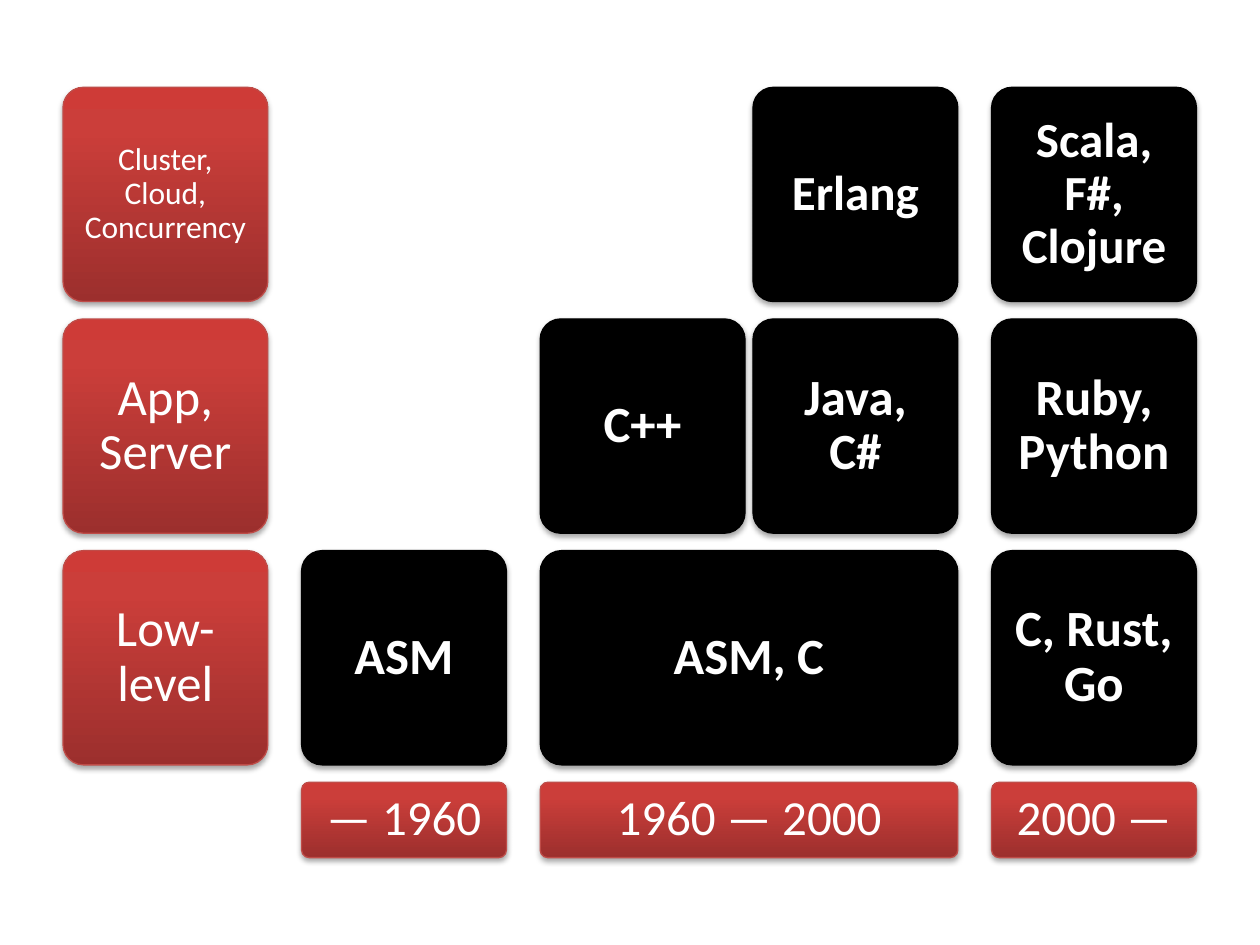
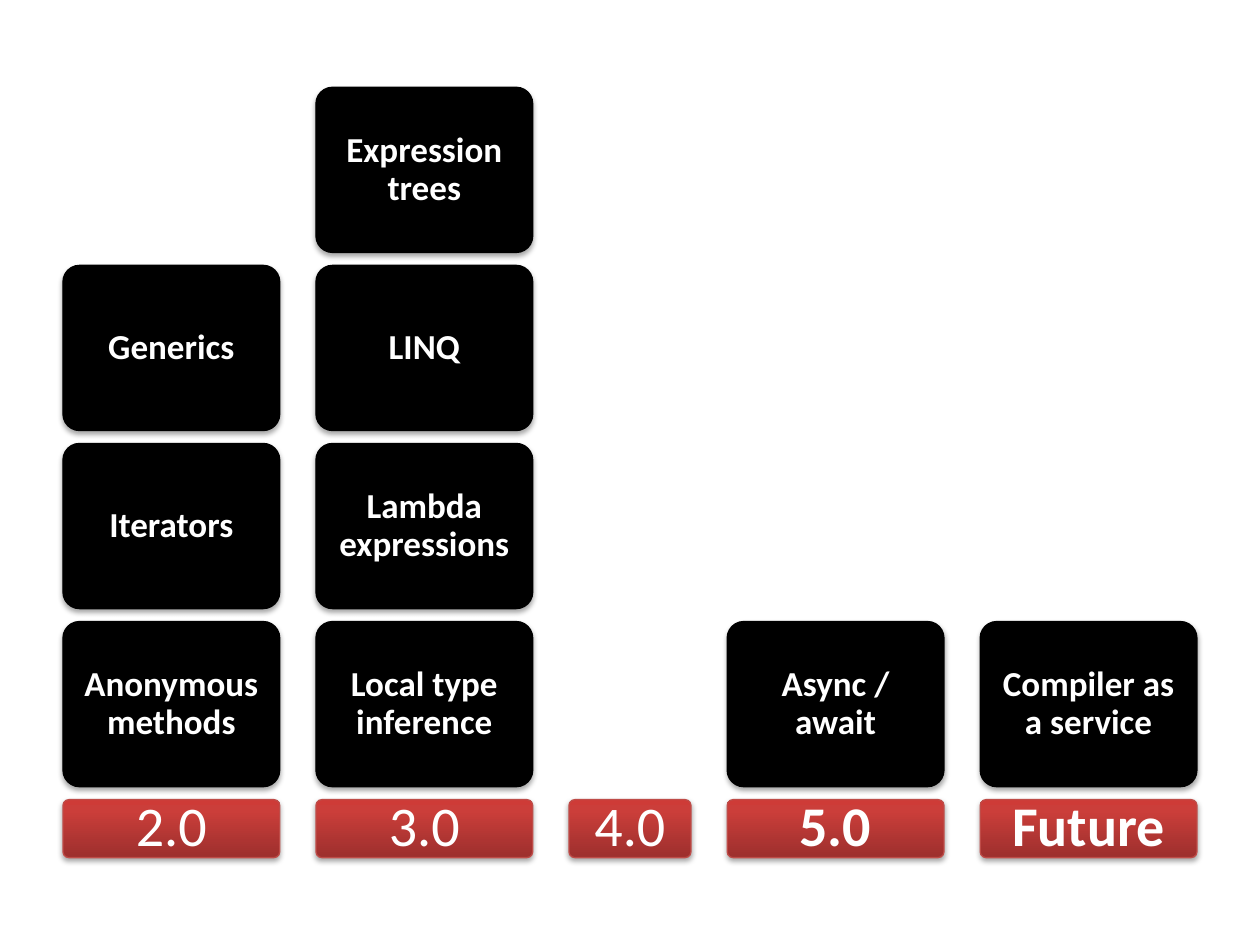
from copy import deepcopy
from dataclasses import dataclass
from itertools import accumulate

from pptx import Presentation
from pptx.dml.color import RGBColor
from pptx.enum.shapes import MSO_SHAPE
from pptx.enum.text import MSO_ANCHOR, PP_ALIGN
from pptx.oxml import parse_xml
from pptx.oxml.ns import nsdecls, qn
from pptx.util import Cm, Pt


@dataclass(frozen=True)
class Theme:
    font: str = "Calibri"
    text: str = "FFFFFF"
    block: str = "000000"
    label_line: str = "BF4C48"
    label_stops: tuple = ((0, "9C2F2D"), (0.8, "CB3E3A"), (1, "CE3B37"))
    line_width: float = 0.75
    line_spacing: float = 0.9
    corner: float = 0.1
    layer: int = 29
    era: int = 28
    small: int = 18
    version: int = 32
    feature: int = 20


SHADOW = (
    f'<a:outerShdw {nsdecls("a")} blurRad="40000" dist="23000" dir="5400000" '
    'rotWithShape="0"><a:srgbClr val="000000"><a:alpha val="35000"/>'
    "</a:srgbClr></a:outerShdw>"
)
LEFT, TOP = 1.27, 1.76


class Deck:
    def __init__(self, theme):
        self.theme = theme
        self.prs = Presentation()
        self.prs.slide_width, self.prs.slide_height = Cm(25.4), Cm(19.05)
        self.s = None

    def new_slide(self):
        self.s = self.prs.slides.add_slide(self.prs.slide_layouts[6])

    def _box(self, box, text, size, bold, margin):
        t = self.theme
        sp = self.s.shapes.add_shape(MSO_SHAPE.ROUNDED_RECTANGLE, *map(Cm, box))
        sp.adjustments[0] = t.corner
        sp.line.width = Pt(t.line_width)
        sp.shadow.inherit = False
        sp._element.spPr.find(qn("a:effectLst")).append(parse_xml(SHADOW))
        tf = sp.text_frame
        tf.word_wrap = True
        tf.vertical_anchor = MSO_ANCHOR.MIDDLE
        tf.margin_left = tf.margin_right = tf.margin_top = tf.margin_bottom = Cm(margin)
        p = tf.paragraphs[0]
        p.text = text
        p.alignment = PP_ALIGN.CENTER
        p.line_spacing = t.line_spacing
        p.font.name, p.font.size, p.font.bold = t.font, Pt(size), bold
        p.font.color.rgb = RGBColor.from_string(t.text)
        return sp

    def block(self, box, text, size, margin=0.3):
        sp = self._box(box, text, size, True, margin)
        color = RGBColor.from_string(self.theme.block)
        sp.fill.solid()
        sp.fill.fore_color.rgb = color
        sp.line.color.rgb = color

    def label(self, box, text, size, bold=False, margin=0.3):
        sp = self._box(box, text, size, bold, margin)
        sp.fill.gradient()
        sp.fill.gradient_angle = 90
        stops = sp._element.spPr.find(".//" + qn("a:gsLst"))
        stops.append(deepcopy(stops[-1]))
        for stop, (position, color) in zip(sp.fill.gradient_stops, self.theme.label_stops):
            stop.position = position
            stop.color.rgb = RGBColor.from_string(color)
        sp.line.color.rgb = RGBColor.from_string(self.theme.label_line)


def language_history(deck):
    t = deck.theme
    width, height, era_height = 4.13, 4.32, 1.52
    gap, inner_gap, row_gap = 0.68, 0.16, 0.35
    double = 2 * width + inner_gap
    steps = [width + g for g in (gap, gap, inner_gap, gap)]
    lefts = list(accumulate(steps, initial=LEFT))
    tops = [TOP + i * (height + row_gap) for i in range(4)]

    layers = [
        ("Cluster, Cloud, Concurrency", t.small, 0.18),
        ("App, Server", t.layer, 0.3),
        ("Low-level", t.layer, 0.3),
    ]
    eras = [(1, width, "— 1960"), (2, double, "1960 — 2000"), (4, width, "2000 —")]
    languages = [
        (0, 3, width, "Erlang"),
        (0, 4, width, "Scala, F#, Clojure"),
        (1, 2, width, "C++"),
        (1, 3, width, "Java, C#"),
        (1, 4, width, "Ruby, Python"),
        (2, 1, width, "ASM"),
        (2, 2, double, "ASM, C"),
        (2, 4, width, "C, Rust, Go"),
    ]

    deck.new_slide()
    for top, (text, size, margin) in zip(tops, layers):
        deck.label((LEFT, top, width, height), text, size, margin=margin)
    for col, w, text in eras:
        deck.label((lefts[col], tops[3], w, era_height), text, t.era)
    for row, col, w, text in languages:
        size = t.layer if row else t.era
        deck.block((lefts[col], tops[row], w, height), text, size)


def version_features(deck):
    t = deck.theme
    width, narrow, height, version_height = 4.37, 2.46, 3.33, 1.17
    gap, row_gap = 0.73, 0.26
    pitch = height + row_gap
    base = TOP + 4 * pitch
    versions = [
        ("2.0", width, False, ["Anonymous methods", "Iterators", "Generics"]),
        ("3.0", width, False,
         ["Local type inference", "Lambda expressions", "LINQ", "Expression trees"]),
        ("4.0", narrow, False, []),
        ("5.0", width, True, ["Async / await"]),
        ("Future", width, True, ["Compiler as a service"]),
    ]

    deck.new_slide()
    left = LEFT
    for version, w, bold, features in versions:
        deck.label((left, base, w, version_height), version, t.version, bold, 0.33)
        for level, feature in enumerate(features, 1):
            deck.block((left, base - level * pitch, w, height), feature, t.feature, 0.2)
        left += w + gap


def main():
    deck = Deck(Theme())
    language_history(deck)
    version_features(deck)
    deck.prs.save("out.pptx")


if __name__ == "__main__":
    main()
